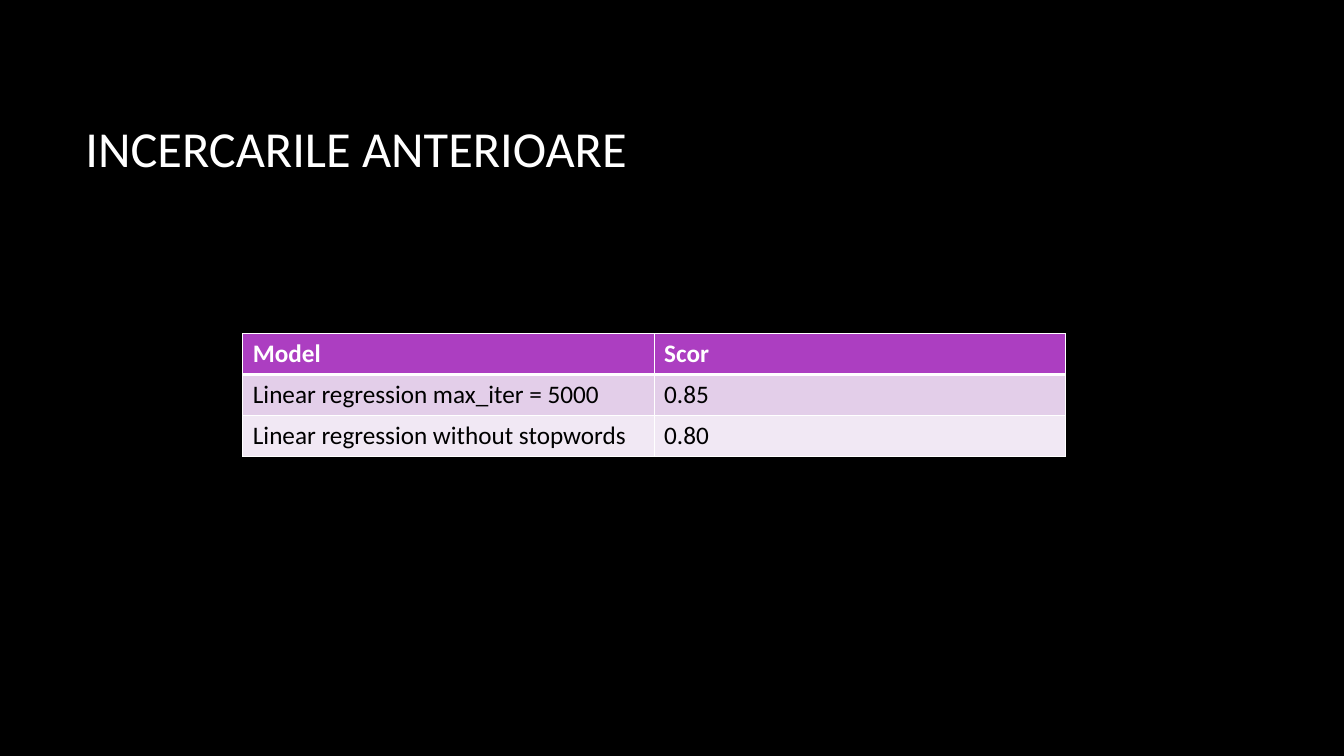
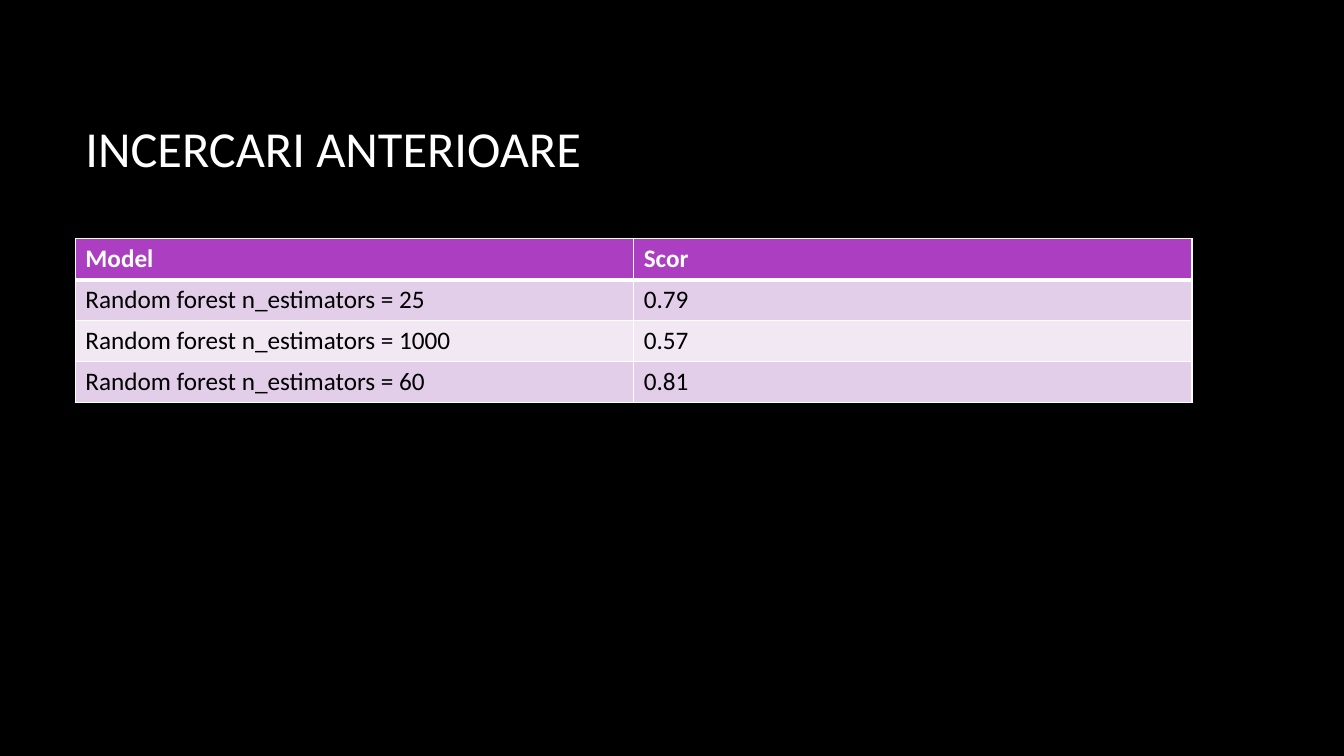
from lxml.etree import SubElement
from pptx import Presentation
from pptx.dml.color import RGBColor
from pptx.enum.text import MSO_ANCHOR, PP_ALIGN
from pptx.oxml.ns import qn
from pptx.util import Cm, Pt

# Content
HEADER = ("Model", "Scor")
SLIDES = [
    {
        "title": "INCERCARILE ANTERIOARE",
        "table_at": (6.12, 8.41, 20.73),
        "scores": [
            ("Linear regression max_iter = 5000", "0.85"),
            ("Linear regression without stopwords", "0.80"),
        ],
    },
    {
        "title": "INCERCARI ANTERIOARE",
        "table_at": (1.9, 6.02, 28.14),
        "scores": [
            ("Random forest n_estimators = 25", "0.79"),
            ("Random forest n_estimators = 1000", "0.57"),
            ("Random forest n_estimators = 60", "0.81"),
        ],
    },
]

# Shared style
COLORS = {
    "background": "000000",
    "white": "FFFFFF",
    "black": "000000",
    "header": "AC3EC1",
    "odd_row": "E3CEE9",
    "even_row": "F1E8F4",
}
TITLE_BOX = {"left": Cm(1.9), "top": Cm(1.7), "width": Cm(28.14), "height": Cm(4.04)}
TITLE_FRAME = {"vertical_anchor": MSO_ANCHOR.MIDDLE, "word_wrap": True}
TITLE_FONT = {"name": "Calibri", "size": Pt(36), "bold": False}
CELL_FONT = {"name": "Calibri", "size": Pt(18)}
ROW_HEIGHT = 1.03
THIN, THICK = Pt(1), Pt(3)


def color(name):
    return RGBColor.from_string(COLORS[name])


def set_attributes(target, values):
    for name, value in values.items():
        setattr(target, name, value)


def format_font(font, values, color_name):
    set_attributes(font, values)
    font.color.rgb = color(color_name)


def set_borders(cell, widths):
    """Draw white borders; they must come before the fill in the cell."""
    properties = cell._tc.get_or_add_tcPr()
    for position, (side, width) in enumerate(widths.items()):
        line = SubElement(properties, qn(f"a:ln{side}"), w=str(width))
        fill = SubElement(line, qn("a:solidFill"))
        SubElement(fill, qn("a:srgbClr"), val=COLORS["white"])
        properties.insert(position, line)


def add_title(slide, text):
    title = slide.shapes.title
    set_attributes(title, TITLE_BOX)
    set_attributes(title.text_frame, TITLE_FRAME)
    title.text_frame.text = text
    paragraph = title.text_frame.paragraphs[0]
    paragraph.alignment = PP_ALIGN.LEFT
    format_font(paragraph.runs[0].font, TITLE_FONT, "white")


def add_score_table(slide, table_at, scores):
    rows = [HEADER, *scores]
    left, top, width = table_at
    table = slide.shapes.add_table(
        len(rows), len(HEADER), Cm(left), Cm(top), Cm(width), Cm(ROW_HEIGHT * len(rows))
    ).table
    for row_index, row in enumerate(rows):
        is_header = row_index == 0
        fill_name = "header" if is_header else ("even_row", "odd_row")[row_index % 2]
        widths = {
            "L": THIN,
            "R": THIN,
            "T": THICK if row_index == 1 else THIN,
            "B": THICK if is_header else THIN,
        }
        for column_index, text in enumerate(row):
            cell = table.cell(row_index, column_index)
            cell.text = text
            cell.fill.solid()
            cell.fill.fore_color.rgb = color(fill_name)
            font = cell.text_frame.paragraphs[0].runs[0].font
            format_font(font, {**CELL_FONT, "bold": is_header}, "white" if is_header else "black")
            set_borders(cell, widths)


def main():
    presentation = Presentation()
    presentation.slide_width, presentation.slide_height = Cm(33.87), Cm(19.05)
    background = presentation.slide_master.background.fill
    background.solid()
    background.fore_color.rgb = color("background")
    title_only = presentation.slide_layouts[5]

    for content in SLIDES:
        slide = presentation.slides.add_slide(title_only)
        add_title(slide, content["title"])
        add_score_table(slide, content["table_at"], content["scores"])

    presentation.save("out.pptx")


if __name__ == "__main__":
    main()
